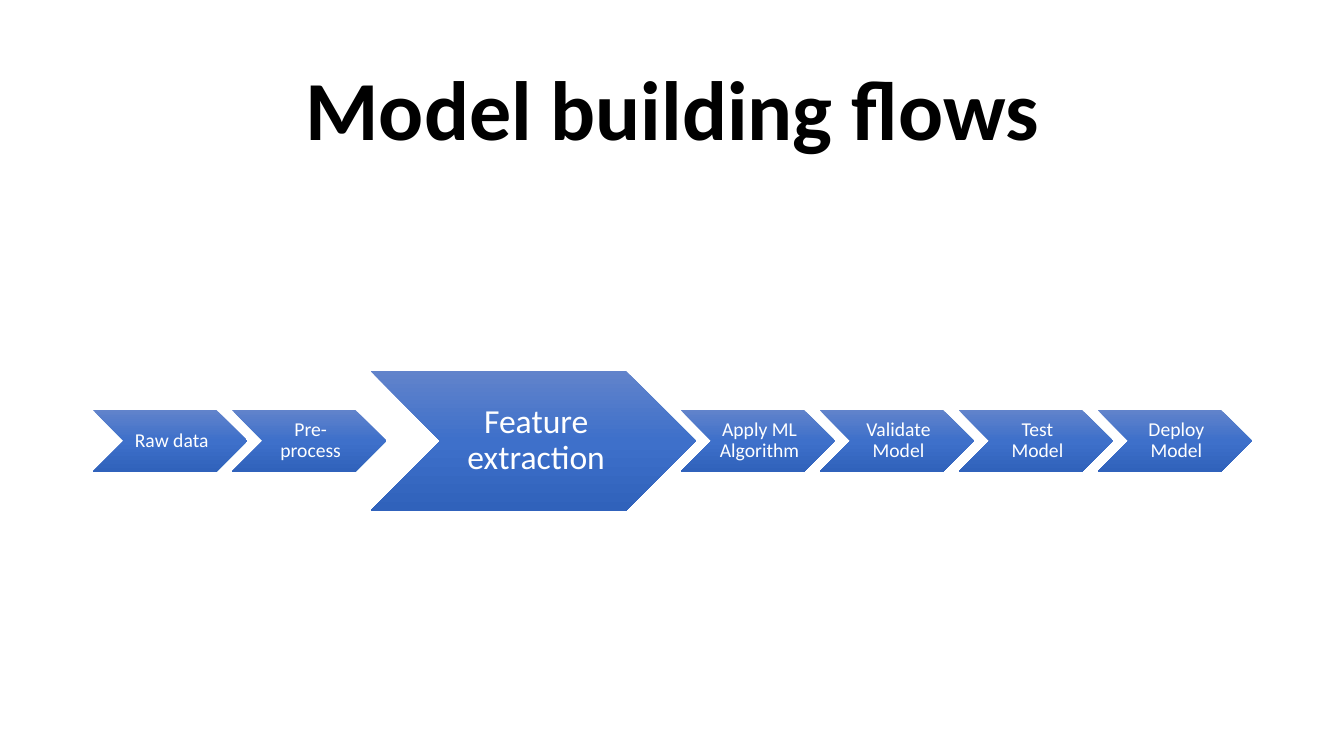
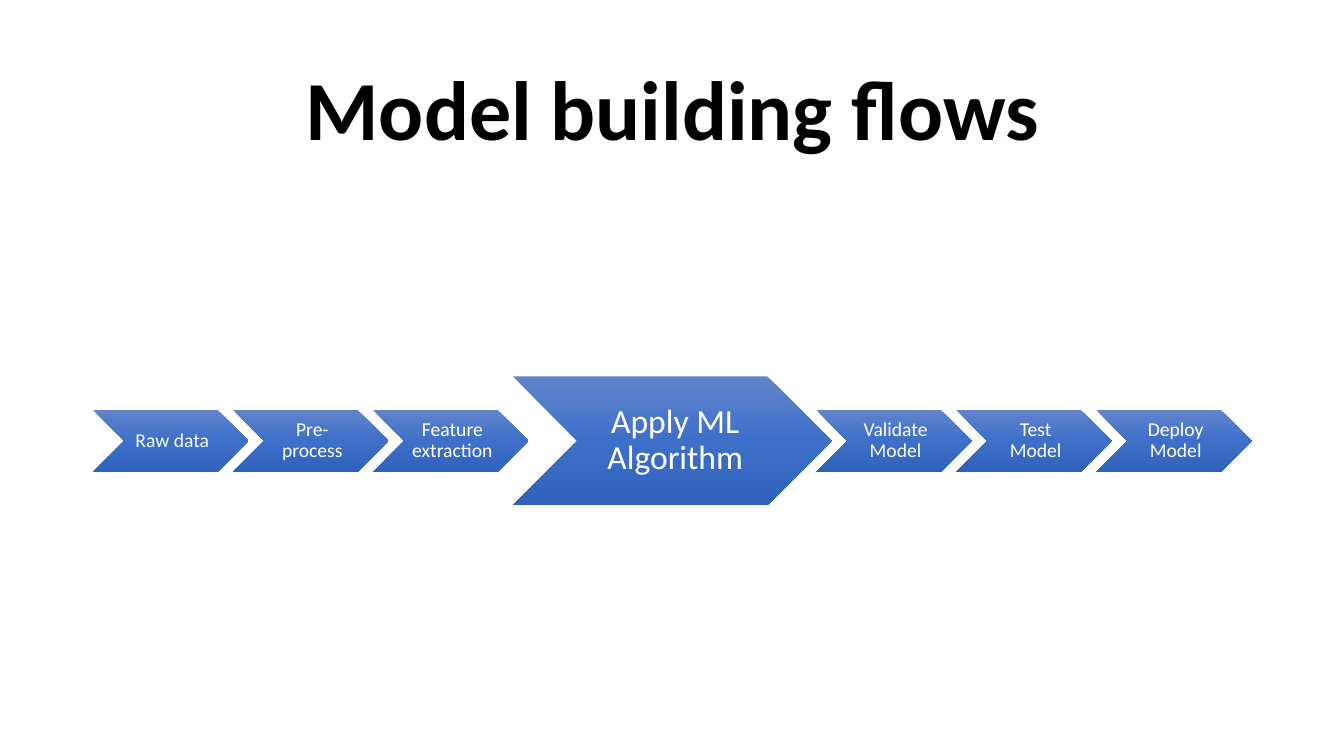
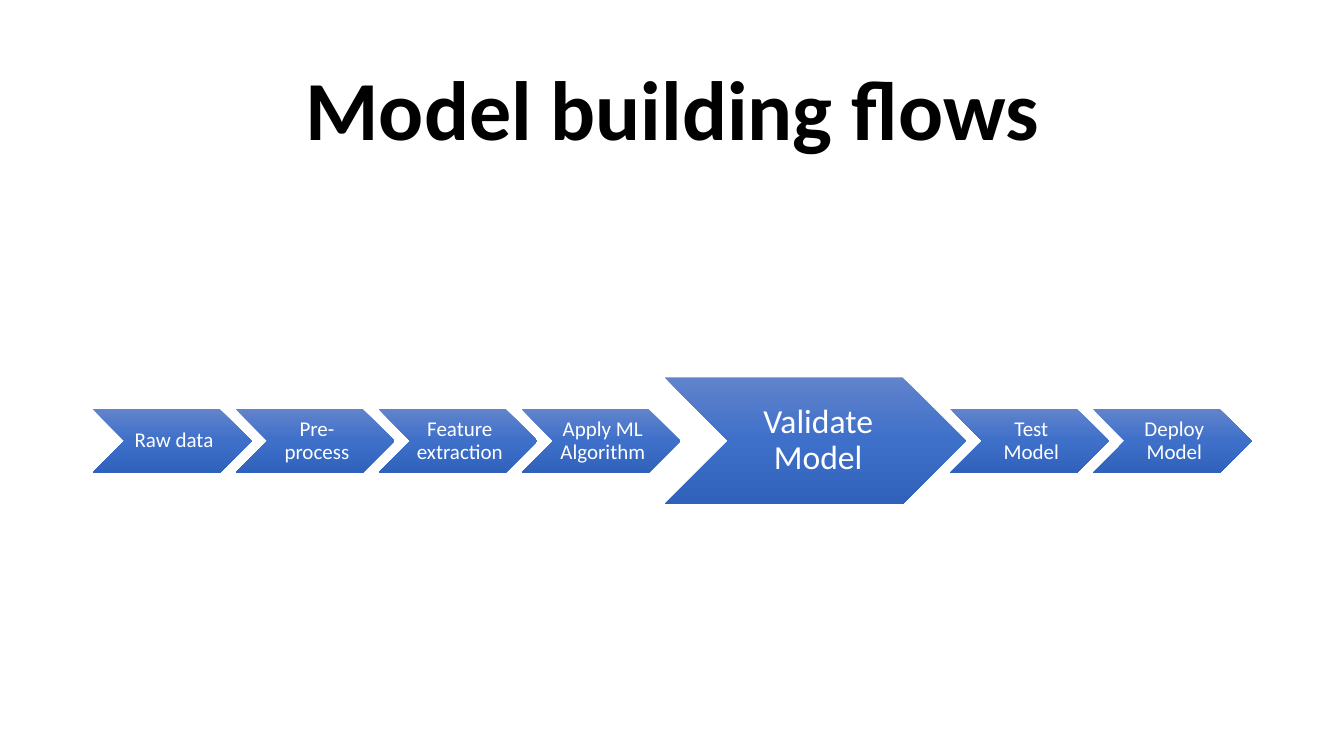
"""Build three slides that walk through the model building flow."""
from copy import deepcopy
from dataclasses import dataclass
from typing import Any

from pptx import Presentation
from pptx import util as u
from pptx.dml import color
from pptx.enum import shapes, text
from pptx.oxml import ns
from pptx.shapes.autoshape import Shape
from pptx.slide import Slide


@dataclass(frozen=True)
class Theme:
    font: str = "Calibri"
    title_color: str = "000000"
    step_color: str = "FFFFFF"
    gradient: tuple[str, ...] = ("6183CB", "3E70CA", "3062BB")
    title_size: int = 60
    featured_size: int = 24
    line_spacing: float = 0.9


@dataclass(frozen=True)
class Flow:
    featured: str
    width: float
    height: float
    step_size: int


THEME = Theme()
TITLE = "Model building flows"
STEPS = ("Raw data", "Pre-process", "Feature extraction", "Apply ML Algorithm",
         "Validate Model", "Test Model", "Deploy Model")
FLOWS = (
    Flow("Feature extraction", 8.2, 3.51, 14),
    Flow("Apply ML Algorithm", 8.03, 3.25, 14),
    Flow("Validate Model", 7.6, 3.2, 15),
)
LEFT, WIDTH, MIDDLE = 2.34, 29.21, 11.11
OVERLAP, ASPECT = 0.1, 0.4


def set_all(target: Any, values: dict[str, Any]) -> None:
    for name, value in values.items():
        setattr(target, name, value)


def write(sp: Shape, words: str, size: int, rgb: str, bold: bool = False) -> None:
    tf = sp.text_frame
    set_all(tf, {"word_wrap": True, "vertical_anchor": text.MSO_ANCHOR.MIDDLE})
    p = tf.paragraphs[0]
    set_all(p, {"alignment": text.PP_ALIGN.CENTER, "line_spacing": THEME.line_spacing})
    r = p.add_run()
    r.text = words
    set_all(r.font, {"name": THEME.font, "size": u.Pt(size), "bold": bold})
    r.font.color.rgb = color.RGBColor.from_string(rgb)


def fill_gradient(sp: Shape) -> None:
    fill = sp.fill
    fill.gradient()
    fill.gradient_angle = 270
    stop_list = sp.element.spPr.find(f"{ns.qn('a:gradFill')}/{ns.qn('a:gsLst')}")
    stop_list.append(deepcopy(stop_list[-1]))
    last = len(THEME.gradient) - 1
    for i, (stop, rgb) in enumerate(zip(fill.gradient_stops, THEME.gradient)):
        stop.position = i / last
        stop.color.rgb = color.RGBColor.from_string(rgb)


def add_title(s: Slide) -> None:
    sp = s.shapes.add_textbox(u.Cm(LEFT), u.Cm(1.01), u.Cm(WIDTH), u.Cm(3.68))
    write(sp, TITLE, THEME.title_size, THEME.title_color, bold=True)


def add_step(s: Slide, words: str, left: float, width: float, height: float, size: int) -> None:
    sp = s.shapes.add_shape(shapes.MSO_SHAPE.CHEVRON, u.Cm(left), u.Cm(MIDDLE - height / 2),
                            u.Cm(width), u.Cm(height))
    sp.shadow.inherit = False
    sp.line.fill.background()
    fill_gradient(sp)
    inset = size * 0.01
    edge = u.Cm(inset * 0.4)
    set_all(sp.text_frame, {"margin_left": u.Cm(inset), "margin_top": edge,
                            "margin_right": edge, "margin_bottom": edge})
    write(sp, words, size, THEME.step_color)


def add_flow(s: Slide, flow: Flow) -> None:
    small = (WIDTH - flow.width) / ((len(STEPS) - 1) * (1 - OVERLAP))
    left = LEFT
    for step in STEPS:
        if step == flow.featured:
            width, height, size = flow.width, flow.height, THEME.featured_size
        else:
            width, height, size = small, small * ASPECT, flow.step_size
        add_step(s, step, left, width, height, size)
        left += width - small * OVERLAP


def main() -> None:
    prs = Presentation()
    set_all(prs, {"slide_width": u.Cm(33.87), "slide_height": u.Cm(19.05)})
    for flow in FLOWS:
        s = prs.slides.add_slide(prs.slide_layouts[6])
        add_title(s)
        add_flow(s, flow)
    prs.save("out.pptx")


main()
